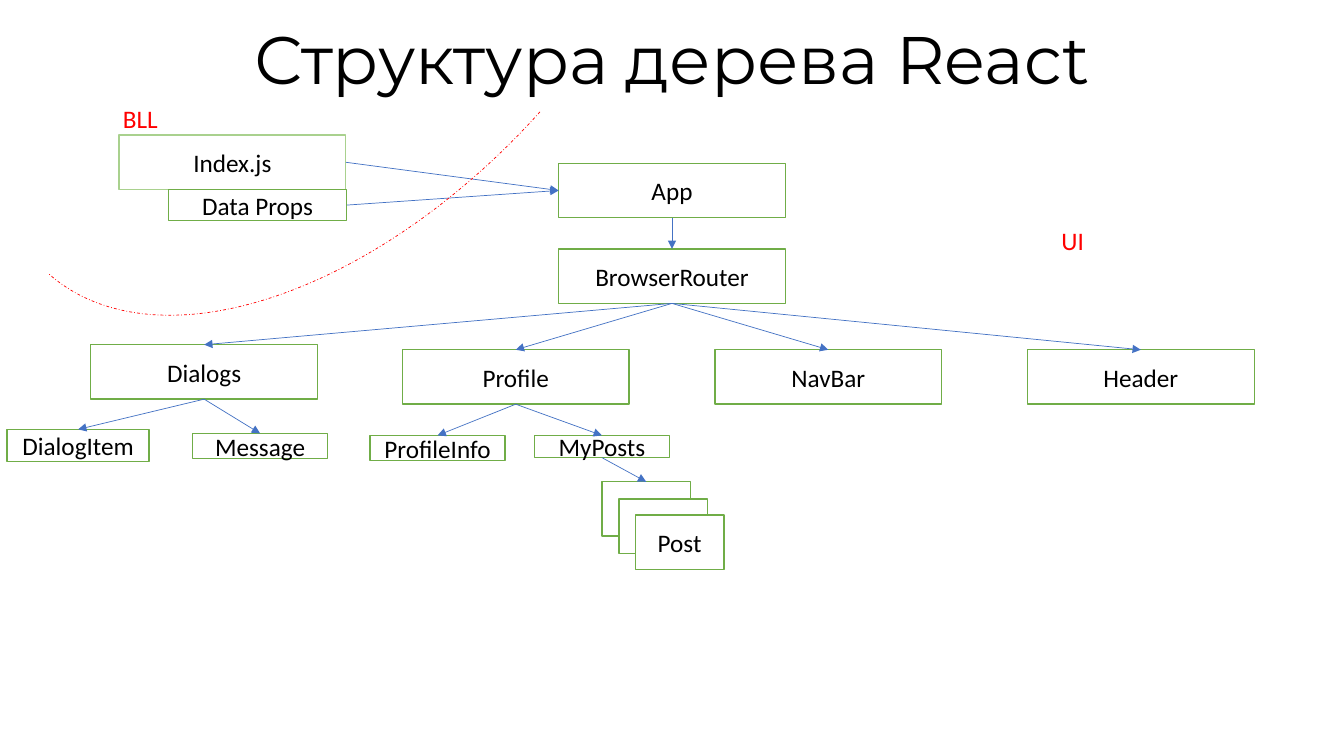
from lxml import etree
from pptx import Presentation
from pptx.dml.color import RGBColor
from pptx.enum import dml, shapes, text
from pptx.oxml import ns
from pptx.util import Inches, Pt

GREEN, PALE_GREEN, BLUE, RED = "70AD47", "A9D18E", "4472C4", "FF0000"
BLACK, WHITE = "000000", "FFFFFF"
TOP, LEFT, BOTTOM, RIGHT = range(4)
NODE_SIZE = (2.25, 0.54)
LEAF_SIZE = (1.34, 0.25)
POST_SIZE = (0.88, 0.54)

# Name, left, top, size
NODES = [
    ("Index.js", 1.18, 1.34, NODE_SIZE),
    ("Data Props", 1.67, 1.88, (1.77, 0.31)),
    ("App", 5.54, 1.62, NODE_SIZE),
    ("BrowserRouter", 5.54, 2.47, NODE_SIZE),
    ("Dialogs", 0.9, 3.42, NODE_SIZE),
    ("Profile", 3.99, 3.47, NODE_SIZE),
    ("NavBar", 7.09, 3.47, NODE_SIZE),
    ("Header", 10.19, 3.47, NODE_SIZE),
    ("DialogItem", 0.07, 4.26, (1.41, 0.32)),
    ("Message", 1.91, 4.3, LEAF_SIZE),
    ("ProfileInfo", 3.67, 4.32, LEAF_SIZE),
    ("MyPosts", 5.3, 4.32, (1.34, 0.22)),
]
CHILDREN = {
    "App": ["BrowserRouter"],
    "BrowserRouter": ["Dialogs", "Profile", "NavBar", "Header"],
    "Dialogs": ["DialogItem", "Message"],
    "Profile": ["ProfileInfo", "MyPosts"],
    "MyPosts": ["Post"],
}


def color(hex_code):
    return RGBColor.from_string(hex_code)


def set_line(shape, hex_code, width):
    shape.line.color.rgb = color(hex_code)
    shape.line.width = Pt(width)


def write(shape, words, size=18, font="Calibri", hex_code=BLACK, align=text.PP_ALIGN.CENTER):
    para = shape.text_frame.paragraphs[0]
    para.text = words
    para.alignment = align
    para.font.size = Pt(size)
    para.font.name = font
    para.font.color.rgb = color(hex_code)
    return para


def add_title(page, words):
    box = page.shapes.add_textbox(Inches(0.74), Inches(0.17), Inches(11.85), Inches(0.86))
    box.text_frame.word_wrap = True
    box.text_frame.vertical_anchor = text.MSO_ANCHOR.BOTTOM
    write(box, words, 48, "Montserrat").line_spacing = 0.9


def add_label(page, words, left, top, width):
    box = page.shapes.add_textbox(Inches(left), Inches(top), Inches(width), Inches(0.4))
    box.text_frame.word_wrap = False
    box.text_frame.auto_size = text.MSO_AUTO_SIZE.SHAPE_TO_FIT_TEXT
    write(box, words, hex_code=RED, align=text.PP_ALIGN.LEFT)


def add_node(page, name, left, top, size, outline=GREEN):
    node = page.shapes.add_shape(
        shapes.MSO_SHAPE.RECTANGLE, Inches(left), Inches(top), *map(Inches, size))
    node.shadow.inherit = False
    node.fill.solid()
    node.fill.fore_color.rgb = color(WHITE)
    set_line(node, outline, 1)
    node.text_frame.vertical_anchor = text.MSO_ANCHOR.MIDDLE
    write(node, name)
    return node


def add_arrow(page, source, target, source_side=BOTTOM, target_side=TOP):
    arrow = page.shapes.add_connector(shapes.MSO_CONNECTOR.STRAIGHT, 0, 0, 0, 0)
    arrow.begin_connect(source, source_side)
    arrow.end_connect(target, target_side)
    set_line(arrow, BLUE, 0.5)
    etree.SubElement(arrow.line._get_or_add_ln(), ns.qn("a:tailEnd"), type="triangle")
    etree.SubElement(arrow._element.spPr, ns.qn("a:effectLst"))


def add_boundary(page):
    """Dashed arc that parts the BLL from the UI."""
    arc = page.shapes.add_shape(
        shapes.MSO_SHAPE.ARC, Inches(-1), Inches(-3.16), Inches(8.9), Inches(5.12))
    arc.rotation = 131.9
    arc.shadow.inherit = False
    arc.fill.background()
    set_line(arc, RED, 0.5)
    arc.line.dash_style = dml.MSO_LINE.DASH_DOT


def main():
    deck = Presentation()
    deck.slide_width, deck.slide_height = Inches(13.33), Inches(7.5)
    page = deck.slides.add_slide(deck.slide_layouts[6])

    add_title(page, "Структура дерева React")
    nodes = {name: add_node(page, name, *place) for name, *place in NODES}
    set_line(nodes["Index.js"], PALE_GREEN, 1)
    posts = [add_node(page, "Post", 5.97 + step, 4.78 + step, POST_SIZE)
             for step in (0, 0.17, 0.33)]
    nodes["Post"] = posts[0]

    for source in ("Index.js", "Data Props"):
        add_arrow(page, nodes[source], nodes["App"], RIGHT, LEFT)
    for parent, children in CHILDREN.items():
        for child in children:
            add_arrow(page, nodes[parent], nodes[child])

    add_label(page, "BLL", 1.12, 0.98, 0.55)
    add_label(page, "UI", 10.43, 2.19, 0.43)
    add_boundary(page)
    deck.save("out.pptx")


if __name__ == "__main__":
    main()
